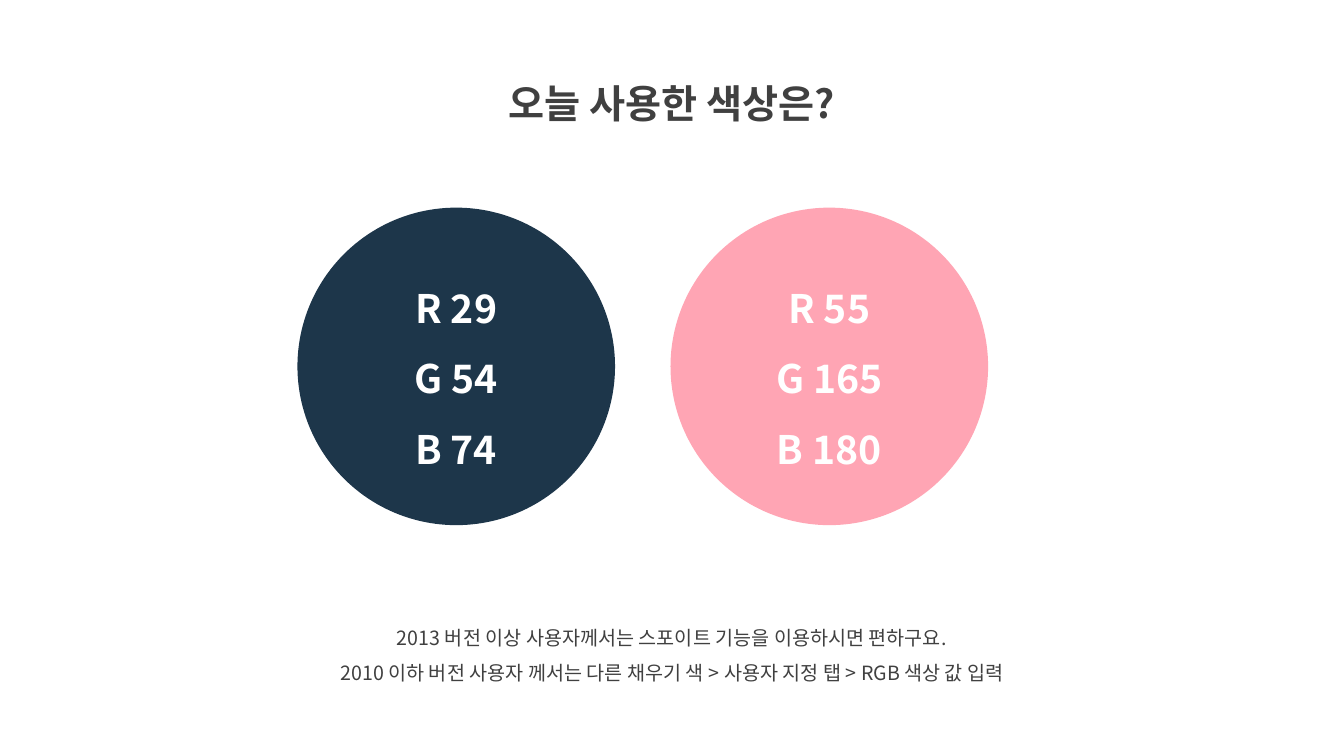
from lxml.etree import SubElement
from pptx import Presentation
from pptx.dml.color import RGBColor
from pptx.enum.shapes import MSO_SHAPE
from pptx.enum.text import MSO_ANCHOR, PP_ALIGN
from pptx.oxml.ns import qn
from pptx.util import Inches, Pt

WIDTH, HEIGHT = 13.33, 7.5
FONT = "Noto Sans CJK KR"
COLORS = {"navy": "1D364A", "pink": "FFA5B4", "white": "FFFFFF", "text": "404040"}

TITLE = "오늘 사용한 색상은?"
SWATCHES = [("navy", ["R 29", "G 54", "B 74"]),
            ("pink", ["R 55", "G 165", "B 180"])]
TIPS = ["2013 버전 이상 사용자께서는 스포이트 기능을 이용하시면 편하구요.",
        "2010 이하 버전 사용자 께서는 다른 채우기 색 > 사용자 지정 탭 > RGB 색상 값 입력"]


def color(name):
    return RGBColor.from_string(COLORS[name])


def write(shape, lines, size=28, ink="text", bold=False, anchor=MSO_ANCHOR.TOP):
    """Fill a shape with centred lines of text."""
    frame = shape.text_frame
    frame.word_wrap = True
    frame.vertical_anchor = anchor
    for index, line in enumerate(lines):
        para = frame.add_paragraph() if index else frame.paragraphs[0]
        para.alignment = PP_ALIGN.CENTER
        para.line_spacing = 1.5
        span = para.add_run()
        span.text = line
        span.font.size = Pt(size)
        span.font.bold = bold
        span.font.color.rgb = color(ink)
        span.font.name = FONT
        # Korean letters take the East Asian font
        SubElement(span._r.get_or_add_rPr(), qn("a:ea"), typeface=FONT)


def add_text(page, box, lines, **style):
    """Place a text block in the given box."""
    write(page.shapes.add_textbox(*map(Inches, box)), lines, **style)


def add_swatches(page, box, swatches):
    """Spread circles across the box, each as wide as the box is high."""
    left, top, width, diameter = box
    step = (width - diameter) / (len(swatches) - 1)
    for column, (fill, values) in enumerate(swatches):
        circle = page.shapes.add_shape(
            MSO_SHAPE.OVAL, Inches(left + column * step), Inches(top),
            Inches(diameter), Inches(diameter))
        circle.shadow.inherit = False
        circle.fill.solid()
        circle.fill.fore_color.rgb = color(fill)
        circle.line.fill.background()
        write(circle, values, ink="white", bold=True, anchor=MSO_ANCHOR.MIDDLE)


def centered(top, width, height):
    """Box centred between the slide's sides."""
    return (WIDTH - width) / 2, top, width, height


def build_color_page(page):
    # Title
    add_text(page, centered(0.5, 4.63, 0.72), [TITLE], bold=True)
    # Colour circles
    add_swatches(page, (2.95, 2.06, 6.85, 3.15), SWATCHES)
    # Tips below
    add_text(page, centered(6.04, 7.99, 0.81), TIPS, size=14)


def main():
    deck = Presentation()
    deck.slide_width, deck.slide_height = Inches(WIDTH), Inches(HEIGHT)
    build_color_page(deck.slides.add_slide(deck.slide_layouts[6]))
    deck.save("out.pptx")


if __name__ == "__main__":
    main()
